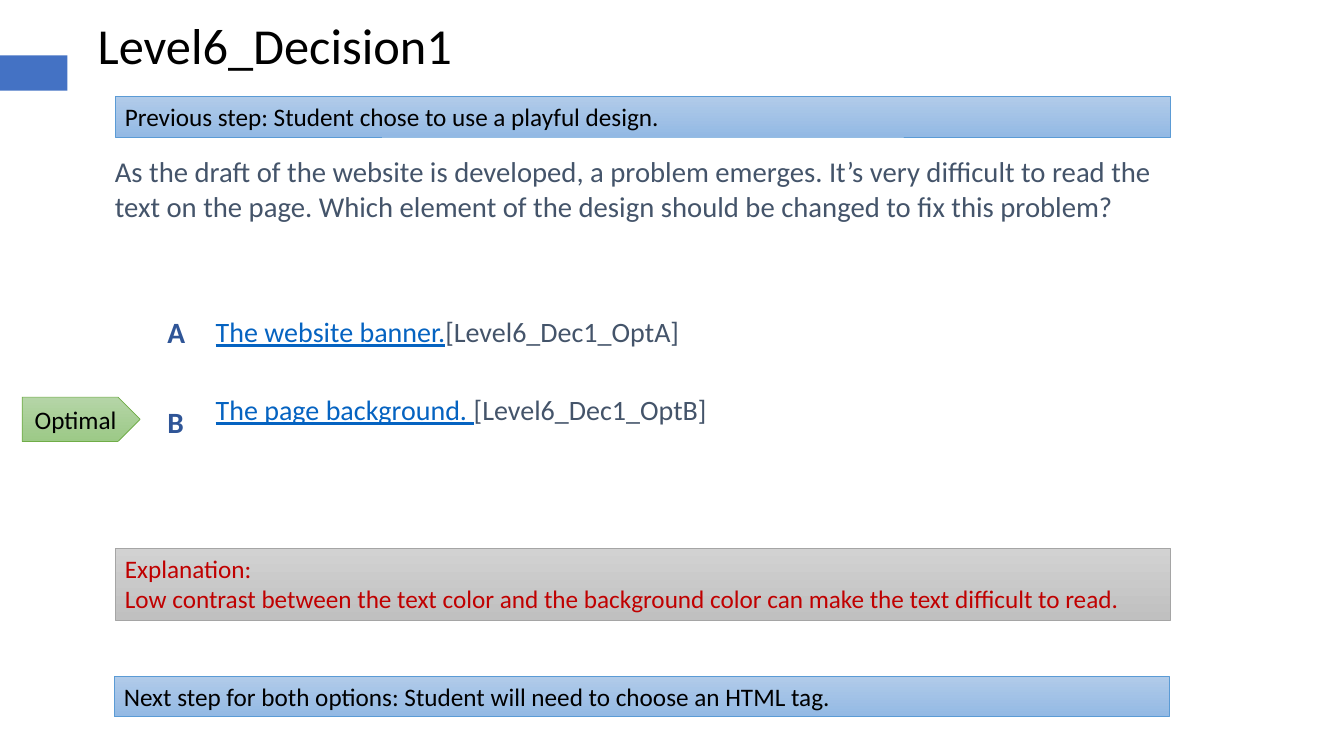
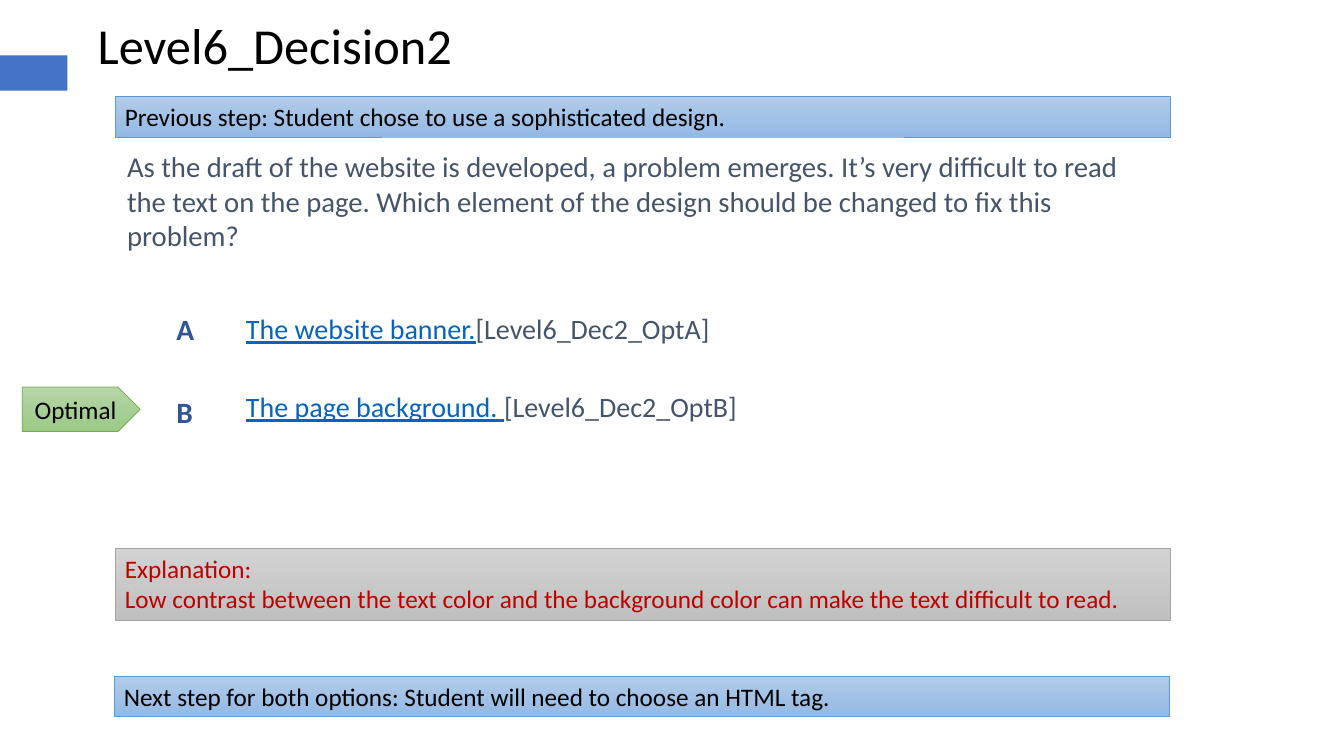
import pptx
import pptx.util
import pptx.dml.color
import pptx.enum.shapes
import pptx.enum.text
from dataclasses import dataclass

Inches = pptx.util.Inches
Pt = pptx.util.Pt
Shape = pptx.enum.shapes.MSO_SHAPE
Anchor = pptx.enum.text.MSO_ANCHOR
Align = pptx.enum.text.PP_ALIGN


@dataclass(frozen=True)
class Theme:
    font: str = "Calibri"
    accent: str = "4472C4"
    ink: str = "000000"
    body: str = "44546A"
    link: str = "0563C1"
    letter: str = "2F5597"
    alert: str = "C00000"
    blue: tuple = ("B1CBE9", "93B9E4", "5B9BD5")
    gray: tuple = ("D2D2D2", "C0C0C0", "A5A5A5")
    green: tuple = ("B5D5A7", "9CC987", "70AD47")
    title_size: float = 36
    letter_size: float = 21
    question_size: float = 20.5
    option_size: float = 20
    band_size: float = 18
    option_gap: float = 32


class Deck:
    def __init__(self, theme):
        self.theme = theme
        self.prs = pptx.Presentation()
        self.prs.slide_width = Inches(13.33)
        self.prs.slide_height = Inches(7.5)
        self.s = None

    def new_slide(self, title):
        self.s = self.prs.slides.add_slide(self.prs.slide_layouts[6])
        sp = self.shape(Shape.RECTANGLE, (0, 0.55, 0.67, 0.35))
        sp.fill.solid()
        sp.fill.fore_color.rgb = self.rgb(self.theme.accent)
        sp.line.fill.background()
        self.text((0.87, 0.09, 3.72, 0.71), [[self.run(title, self.theme.title_size)]],
                  margins=(0.1, 0.05), wrap=False)

    def rgb(self, color):
        return pptx.dml.color.RGBColor.from_string(color)

    def run(self, text, size, color=None, **formats):
        return text, color or self.theme.ink, {"name": self.theme.font, "size": Pt(size), **formats}

    def shape(self, kind, box):
        sp = self.s.shapes.add_shape(kind, *map(Inches, box))
        sp.shadow.inherit = False
        return sp

    def fill_text(self, tf, paragraphs, align=Align.LEFT, gap=0):
        for i, runs in enumerate(paragraphs):
            p = tf.add_paragraph() if i else tf.paragraphs[0]
            p.alignment = align
            if i and gap:
                p.space_before = Pt(gap)
            for text, color, formats in runs:
                r = p.add_run()
                r.text = text
                r.font.color.rgb = self.rgb(color)
                for key, value in formats.items():
                    setattr(r.font, key, value)

    def text(self, box, paragraphs, margins=(0.13, 0.07), wrap=True, gap=0):
        tf = self.s.shapes.add_textbox(*map(Inches, box)).text_frame
        side, edge = map(Inches, margins)
        for key, value in {"margin_left": side, "margin_right": side, "margin_top": edge,
                           "margin_bottom": edge, "word_wrap": wrap}.items():
            setattr(tf, key, value)
        self.fill_text(tf, paragraphs, gap=gap)

    def panel(self, box, lines, palette, color=None, kind=Shape.RECTANGLE,
              anchor=Anchor.TOP, align=Align.LEFT):
        sp = self.shape(kind, box)
        *stops, border = palette
        sp.fill.gradient()
        sp.fill.gradient_angle = 270
        for stop, tint in zip(sp.fill.gradient_stops, stops):
            stop.color.rgb = self.rgb(tint)
        sp.line.color.rgb = self.rgb(border)
        sp.line.width = Pt(0.5)
        sp.text_frame.vertical_anchor = anchor
        self.fill_text(sp.text_frame,
                       [[self.run(t, self.theme.band_size, color)] for t in lines], align)

    def question(self, box, text):
        self.text(box, [[self.run(text, self.theme.question_size, self.theme.body)]])

    def options(self, box, options):
        t = self.theme
        self.text(box, [[self.run(label, t.option_size, t.link, underline=True),
                         self.run(target, t.option_size, t.body)] for label, target in options],
                  gap=t.option_gap)

    def letter(self, letter, left, top):
        t = self.theme
        self.text((left, top, 0.7, 0.5),
                  [[self.run(letter, t.letter_size, t.letter, bold=True)]])

    def optimal(self, top):
        self.panel((0.22, top, 1.17, 0.44), ["Optimal"], self.theme.green,
                   kind=Shape.PENTAGON, anchor=Anchor.MIDDLE, align=Align.CENTER)


QUESTION = ("As the draft of the website is developed, a problem emerges. It’s very difficult to "
            "read the text on the page. Which element of the design should be changed to fix "
            "this problem?")
EXPLANATION = ["Explanation:",
               "Low contrast between the text color and the background color can make the text "
               "difficult to read."]
NEXT_STEP = "Next step for both options: Student will need to choose an HTML tag."
LABELS = {"A": "The website banner.", "B": "The page background. "}

DECISIONS = [
    {"design": "playful", "question": (1.01, 1.46, 10.6, 2.73),
     "options": (2.01, 3.05, 6.16, 1.41), "letter_left": 1.53, "optimal_top": 3.94},
    {"design": "sophisticated", "question": (1.13, 1.41, 10.48, 1.49),
     "options": (2.31, 3.02, 6.52, 1.49), "letter_left": 1.62, "optimal_top": 3.84},
]


def main():
    theme = Theme()
    deck = Deck(theme)
    for number, d in enumerate(DECISIONS, 1):
        deck.new_slide(f"Level6_Decision{number}")
        deck.question(d["question"], QUESTION)
        deck.options(d["options"], [(label, f"[Level6_Dec{number}_Opt{key}]")
                                    for key, label in LABELS.items()])
        for key, top in zip(LABELS, (d["options"][1], d["optimal_top"])):
            deck.letter(key, d["letter_left"], top)
        deck.panel((1.14, 0.96, 10.47, 0.4),
                   [f"Previous step: Student chose to use a {d['design']} design."], theme.blue)
        deck.panel((1.13, 6.71, 10.47, 0.4), [NEXT_STEP], theme.blue)
        deck.panel((1.14, 5.44, 10.47, 0.71), EXPLANATION, theme.gray, theme.alert)
        deck.optimal(d["optimal_top"])
    deck.prs.save("out.pptx")


if __name__ == "__main__":
    main()
